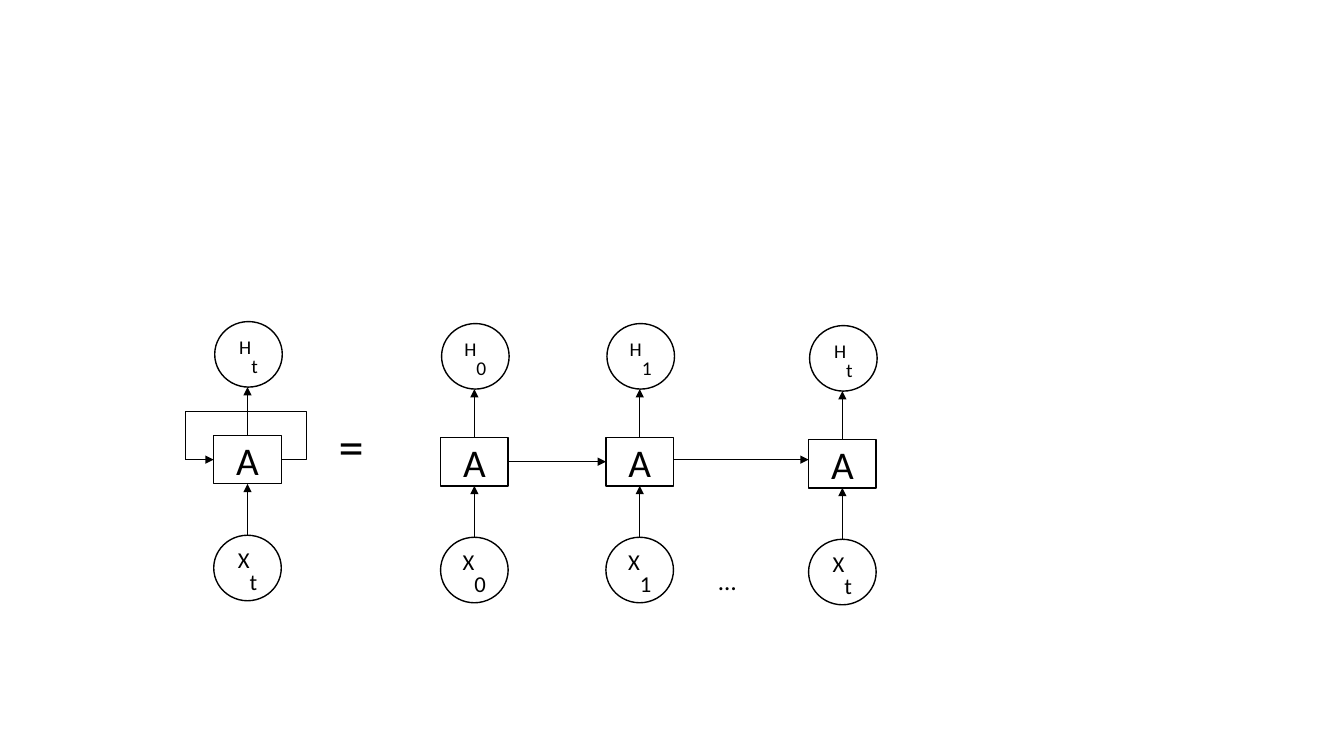
from lxml.etree import SubElement
from pptx import Presentation
from pptx.dml.color import RGBColor
from pptx.enum.shapes import MSO_CONNECTOR as Connector, MSO_SHAPE as Shape
from pptx.enum.text import MSO_ANCHOR as Anchor, PP_ALIGN as Align
from pptx.oxml.ns import qn
from pptx.util import Inches, Pt

FONT = "Calibri"
BLACK, WHITE = "000000", "FFFFFF"

# Grid: each network step is a column; rows are offsets from its top
STEPS = [("t", 2.12, 3.19), ("0", 4.37, 3.21), ("1", 6.01, 3.21), ("t", 8.02, 3.23)]
ROW_A, ROW_X = 1.13, 2.12
NODE_WIDTH, CIRCLE_HEIGHT, CELL_HEIGHT = 0.67, 0.65, 0.48


def color(target, value):
    target.rgb = RGBColor.from_string(value)


def set_font(paragraph, size):
    paragraph.font.name = FONT
    paragraph.font.size = Pt(size)
    color(paragraph.font.color, BLACK)


def add_node(slide, kind, left, top, height, size, letter, index=""):
    """Outlined node with a raised letter and a lowered index, or a plain letter."""
    node = slide.shapes.add_shape(
        kind, Inches(left), Inches(top), Inches(NODE_WIDTH), Inches(height))
    node.shadow.inherit = False
    node.fill.solid()
    color(node.fill.fore_color, WHITE)
    color(node.line.color, BLACK)
    node.line.width = Pt(1)
    node.text_frame.vertical_anchor = Anchor.MIDDLE
    paragraph = node.text_frame.paragraphs[0]
    paragraph.alignment = Align.CENTER
    set_font(paragraph, size)
    parts = [(letter, 30000), (index, -25000)] if index else [(letter, 0)]
    for text, baseline in parts:
        run = paragraph.add_run()
        run.text = text
        if baseline:
            run.font._element.set("baseline", str(baseline))
    return node


def add_line(slide, start, end, kind=Connector.STRAIGHT, arrow=True):
    line = slide.shapes.add_connector(kind, *(Inches(value) for value in start + end))
    color(line.line.color, BLACK)
    line.line.width = Pt(0.5)
    properties = line.element.spPr
    if arrow:
        SubElement(properties.find(qn("a:ln")), qn("a:tailEnd"), type="triangle")
    SubElement(properties, qn("a:effectLst"))
    return line


def add_label(slide, text, left, top, width, height, size):
    box = slide.shapes.add_textbox(*(Inches(value) for value in (left, top, width, height)))
    box.text_frame.word_wrap = True
    paragraph = box.text_frame.paragraphs[0]
    paragraph.text = text
    set_font(paragraph, size)


def add_step(slide, index, left, top):
    """Input X, cell A and output H, stacked and joined by upward arrows."""
    cell_top, input_top = top + ROW_A, top + ROW_X
    center = left + NODE_WIDTH / 2
    source = add_node(slide, Shape.OVAL, left, input_top, CIRCLE_HEIGHT, 28, "X", index)
    cell = add_node(slide, Shape.RECTANGLE, left, cell_top, CELL_HEIGHT, 28, "A")
    add_node(slide, Shape.OVAL, left + 0.01, top, CIRCLE_HEIGHT, 24, "H", index)
    feed = add_line(slide, (center, input_top), (center, cell_top + CELL_HEIGHT))
    feed.begin_connect(source, 0)
    feed.end_connect(cell, 2)
    output = add_line(slide, (center, cell_top), (center, top + CIRCLE_HEIGHT))
    output.begin_connect(cell, 0)
    return cell


def add_loop(slide, cell, left, top):
    """Recurrent path from the right side of the cell over it to its left side."""
    middle = top + ROW_A + CELL_HEIGHT / 2
    right, corner_x, corner_y = left + NODE_WIDTH, 1.84, 4.08
    bend = add_line(slide, (right, middle), (corner_x, corner_y), Connector.ELBOW, arrow=False)
    bend.begin_connect(cell, 3)
    adjustments = bend.element.spPr.find(qn("a:prstGeom")).find(qn("a:avLst"))
    SubElement(adjustments, qn("a:gd"), name="adj1", fmla="val -26300")
    add_line(slide, (corner_x, corner_y), (corner_x, middle), arrow=False)
    entry = add_line(slide, (corner_x, middle), (left, middle))
    entry.end_connect(cell, 1)


def main():
    presentation = Presentation()
    presentation.slide_width, presentation.slide_height = Inches(13.33), Inches(7.5)
    slide = presentation.slides.add_slide(presentation.slide_layouts[6])

    # Folded network on the left, unrolled steps on the right
    cells = [add_step(slide, *step) for step in STEPS]
    add_loop(slide, cells[0], *STEPS[0][1:])
    add_label(slide, "=", 3.26, 4.07, 0.64, 0.71, 36)

    # State passed between the unrolled steps
    first, second, last = (left for _, left, _ in STEPS[1:])
    state = add_line(slide, (first + NODE_WIDTH, 4.58), (second, 4.58))
    state.begin_connect(cells[1], 3)
    state.end_connect(cells[2], 1)
    add_line(slide, (second + NODE_WIDTH, 4.56), (last, 4.56))
    add_label(slide, "…", 7.03, 5.56, 0.67, 0.4, 18)

    presentation.save("out.pptx")


if __name__ == "__main__":
    main()
